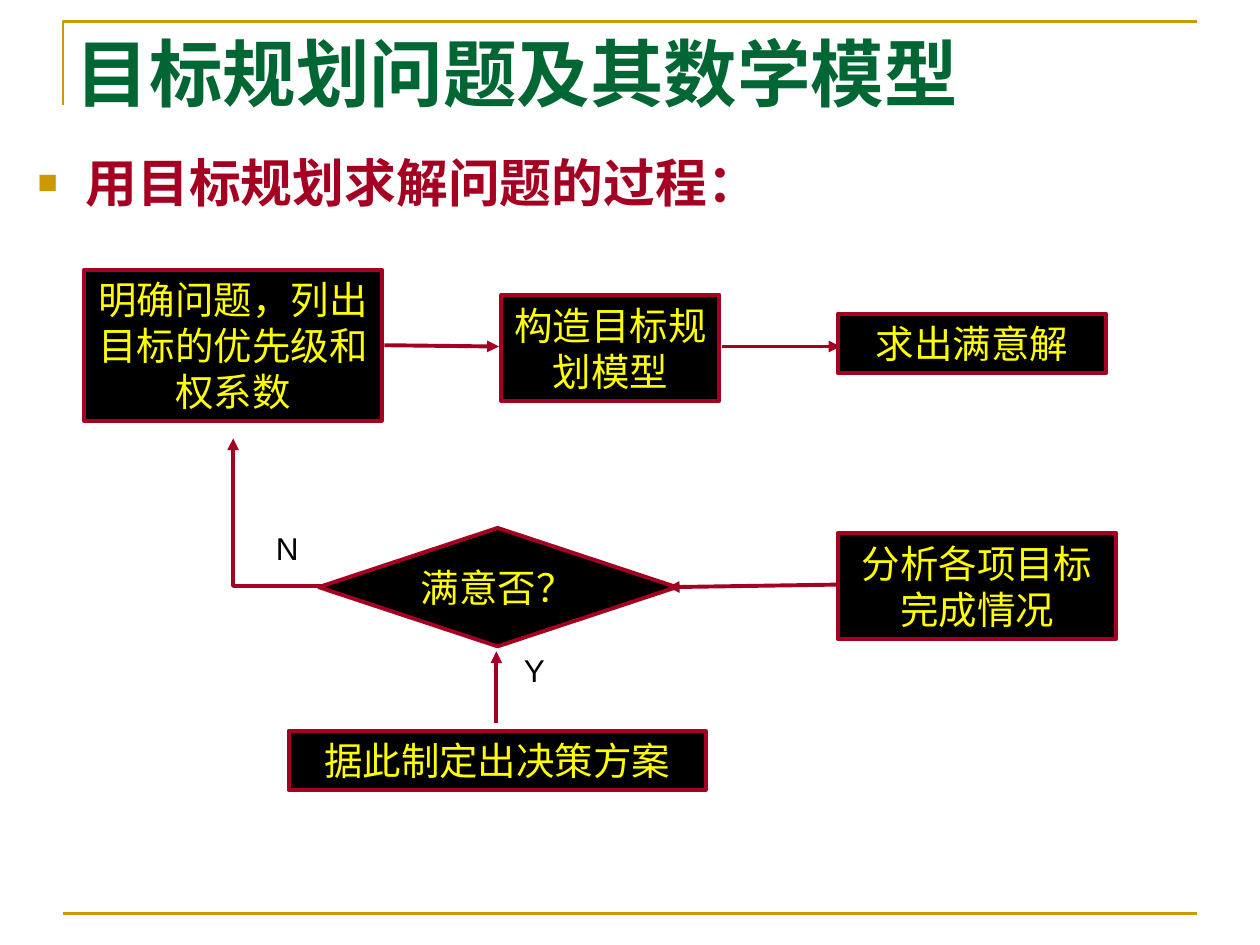
from lxml.etree import SubElement
from pptx import Presentation
from pptx.dml.color import RGBColor
from pptx.enum.shapes import MSO_CONNECTOR as Connector, MSO_SHAPE as Shape
from pptx.enum.text import MSO_ANCHOR as Anchor, MSO_AUTO_SIZE as AutoSize, PP_ALIGN as Align
from pptx.oxml.ns import qn
from pptx.util import Inches, Pt

GOLD = RGBColor(0xCC, 0x99, 0x00)
GREEN = RGBColor(0x00, 0x66, 0x33)
CRIMSON = RGBColor(0xA5, 0x00, 0x21)
YELLOW = RGBColor(0xFF, 0xFF, 0x00)
BLACK = RGBColor(0x00, 0x00, 0x00)

STEPS = [
    ("明确问题，列出目标的优先级和权系数", 0.67, 2.14, 2.36, 1.2),
    ("构造目标规划模型", 3.98, 2.34, 1.73, 0.84),
    ("求出满意解", 6.65, 2.49, 2.13, 0.47),
    ("分析各项目标完成情况", 6.65, 4.23, 2.21, 0.84),
    ("据此制定出决策方案", 2.29, 5.8, 3.31, 0.47),
]
ARROWS = [
    (3.05, 2.74, 3.96, 2.75),
    (5.73, 2.75, 6.67, 2.75),
    (6.64, 4.64, 5.3, 4.66),
    (3.94, 5.74, 3.94, 5.17),
]


class FlowSlide:
    """Draws the parts of a flowchart on one slide in a shared style."""

    def __init__(self, slide, font="Arial", line_width=2.25):
        self.slide = slide
        self.shapes = slide.shapes
        self.font = font
        self.line_width = line_width

    def set_text(self, shape, text, size, color, bold=False, align=Align.LEFT,
                 anchor=Anchor.TOP, wrap=True, font=None):
        frame = shape.text_frame
        frame.text = text
        frame.word_wrap = wrap
        frame.auto_size = AutoSize.NONE
        frame.vertical_anchor = anchor
        paragraph = frame.paragraphs[0]
        paragraph.alignment = align
        for run in paragraph.runs:
            run.font.name = font or self.font
            run.font.size = Pt(size)
            run.font.bold = bold
            run.font.color.rgb = color
        return paragraph

    def title(self, text, left, top, width, height):
        shape = self.shapes.title
        shape.left, shape.top = Inches(left), Inches(top)
        shape.width, shape.height = Inches(width), Inches(height)
        self.set_text(shape, text, 42, GREEN, bold=True, font="Times New Roman")

    def text(self, text, left, top, width, height, size, color, bold=False):
        box = self.shapes.add_textbox(Inches(left), Inches(top), Inches(width), Inches(height))
        return self.set_text(box, text, size, color, bold)

    def bullet(self, text, left, top, width, height):
        paragraph = self.text(text, left, top, width, height, 29.6, CRIMSON, bold=True)
        properties = paragraph._p.get_or_add_pPr()
        properties.set("marL", str(Inches(0.38)))
        properties.set("indent", str(-Inches(0.38)))
        color = SubElement(properties, qn("a:buClr"))
        SubElement(color, qn("a:srgbClr"), val=str(GOLD))
        SubElement(properties, qn("a:buSzPct"), val="65000")
        SubElement(properties, qn("a:buFont"), typeface=self.font)
        SubElement(properties, qn("a:buChar"), char="■")

    def node(self, text, left, top, width, height, kind=Shape.RECTANGLE, wrap=True):
        shape = self.shapes.add_shape(kind, Inches(left), Inches(top), Inches(width), Inches(height))
        shape.shadow.inherit = False
        shape.fill.solid()
        shape.fill.fore_color.rgb = BLACK
        shape.line.color.rgb = CRIMSON
        shape.line.width = Pt(self.line_width)
        self.set_text(shape, text, 22, YELLOW, align=Align.CENTER, anchor=Anchor.MIDDLE, wrap=wrap)

    def line(self, start_x, start_y, end_x, end_y, color, width, kind=Connector.STRAIGHT):
        connector = self.shapes.add_connector(
            kind, Inches(start_x), Inches(start_y), Inches(end_x), Inches(end_y))
        connector.line.color.rgb = color
        connector.line.width = Pt(width)
        SubElement(connector._element.spPr, qn("a:effectLst"))
        return connector

    def arrow(self, start_x, start_y, end_x, end_y, kind=Connector.STRAIGHT):
        connector = self.line(start_x, start_y, end_x, end_y, CRIMSON, self.line_width, kind)
        outline = connector._element.spPr.find(qn("a:ln"))
        SubElement(outline, qn("a:tailEnd"), type="triangle")
        return connector

    def corner_arrow(self, left, top, right, bottom):
        connector = self.arrow(left, top, right, bottom, Connector.ELBOW)
        properties = connector._element.spPr
        properties.find(qn("a:xfrm")).set("rot", "10800000")
        properties.find(qn("a:prstGeom")).set("prst", "bentConnector2")

    def frame_corner(self, left, top, right, bottom):
        builder = self.shapes.build_freeform(Inches(left), Inches(bottom))
        builder.add_line_segments(
            [(Inches(left), Inches(top)), (Inches(right), Inches(top))], close=False)
        shape = builder.convert_to_shape()
        shape.shadow.inherit = False
        shape.fill.background()
        shape.line.color.rgb = GOLD
        shape.line.width = Pt(1.5)


def main():
    presentation = Presentation()
    presentation.slide_width, presentation.slide_height = Inches(10), Inches(7.5)
    flow = FlowSlide(presentation.slides.add_slide(presentation.slide_layouts[5]))
    flow.frame_corner(0.5, 0.17, 9.5, 0.83)
    flow.line(0.5, 7.25, 9.5, 7.25, GOLD, 1.5)
    flow.title("目标规划问题及其数学模型", 0.5, 0.17, 9, 1)
    flow.bullet("用目标规划求解问题的过程：", 0.2, 1.15, 8.9, 0.63)
    for step in STEPS:
        flow.node(*step)
    flow.node("满意否？", 2.53, 4.19, 2.84, 0.94, Shape.FLOWCHART_DECISION, wrap=False)
    for arrow in ARROWS:
        flow.arrow(*arrow)
    flow.corner_arrow(1.85, 3.48, 2.59, 4.65)
    flow.text("N", 2.09, 4.15, 0.79, 0.4, 18, BLACK)
    flow.text("Y", 4.06, 5.12, 1.1, 0.4, 18, BLACK)
    presentation.save("out.pptx")


if __name__ == "__main__":
    main()
